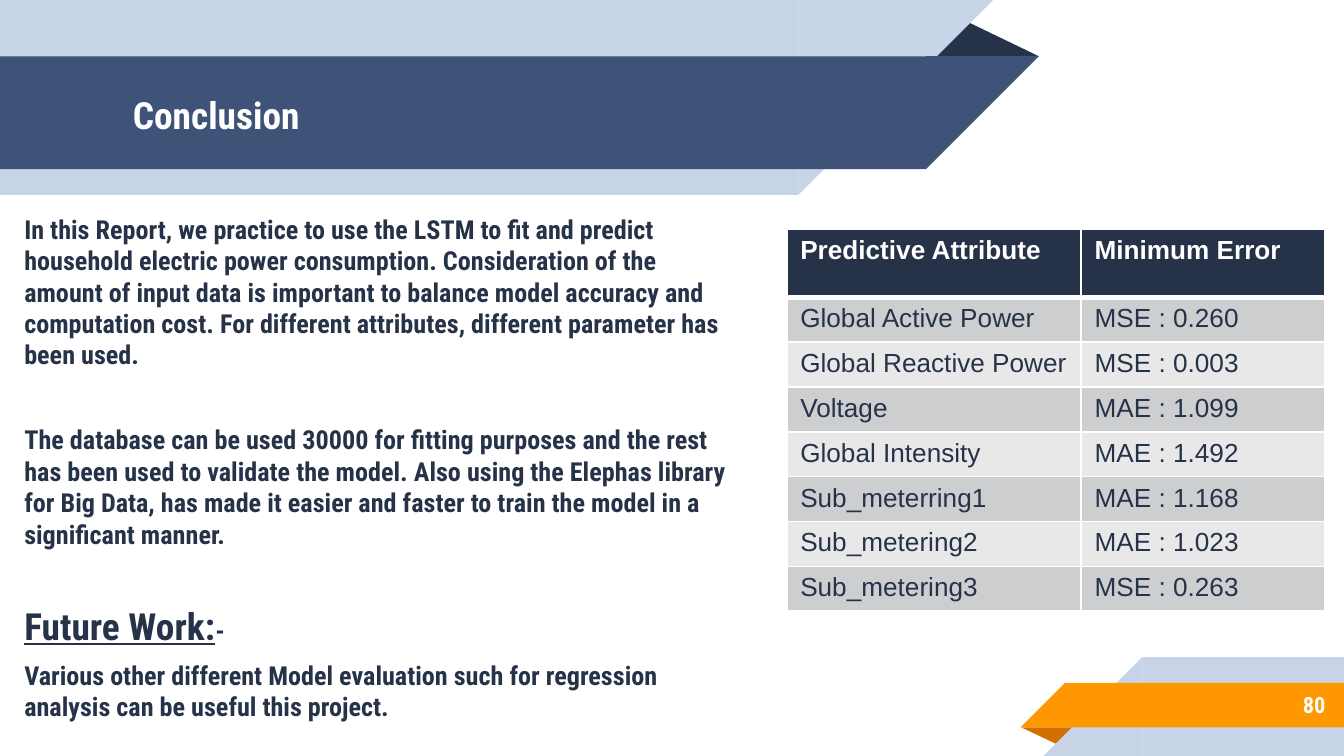
from dataclasses import dataclass

from lxml.etree import SubElement as Sub
from pptx import Presentation
from pptx.dml.color import RGBColor as Rgb
from pptx.enum.shapes import MSO_SHAPE as Kind
from pptx.enum.text import MSO_ANCHOR as Anchor, PP_ALIGN as Align
from pptx.oxml.ns import qn
from pptx.util import Pt

WHITE = Rgb(0xFF, 0xFF, 0xFF)
PALE = Rgb(0xC7, 0xD3, 0xE6)
BLUE = Rgb(0x3F, 0x53, 0x78)
NAVY = Rgb(0x26, 0x32, 0x48)
AMBER = Rgb(0xFF, 0x98, 0x00)
RUST = Rgb(0xD2, 0x6F, 0x00)
GREY = Rgb(0xCD, 0xCE, 0xCF)
LIGHT = Rgb(0xE8, 0xE8, 0xE9)

WIDTH, HEIGHT = 720, 405
FACE = "Roboto Condensed"


@dataclass
class Band:
    """A bar with a slanted end; the slant is as wide as the bar is high."""
    left: float
    top: float
    width: float
    height: float
    color: Rgb
    upper: bool


@dataclass
class Fold:
    left: float
    top: float
    width: float
    height: float
    color: Rgb
    turn: int


@dataclass
class Words:
    text: str
    size: float = 14
    line: bool = False


@dataclass
class Para:
    pieces: list[Words]
    before: float = 0


TOP = [Band(0, 0, 427.7, 104.4, PALE, True),
       Band(0, 30.2, 496.1, 60.5, BLUE, True)]
FOOT = [Band(612, 352.1, 108, 52.9, PALE, False),
        Band(570.6, 365.8, 149.4, 23.9, AMBER, False)]

# A gap between sections is one 14 pt line plus the usual spacing.
GAP, STEP = 28.8, 6
BODY = [
    Para([Words("In this Report, we practice to use the LSTM to fit and predict "
                "household electric power consumption. Consideration of the amount "
                "of input data is important to balance model accuracy and "
                "computation cost. For different attributes, different parameter "
                "has been used.")]),
    Para([Words("The database can be used 30000 for fitting purposes and the rest "
                "has been used to validate the model. Also using the Elephas library "
                "for Big Data, has made it easier and faster to train the model in a "
                "significant manner.")], GAP),
    Para([Words("Future Work:", 20, True), Words("-")], GAP),
    Para([Words("Various other different Model evaluation such for regression "
                "analysis can be useful this project.")], STEP),
]

ROWS = [
    ("Predictive Attribute", "Minimum Error"),
    ("Global Active Power", "MSE : 0.260"),
    ("Global Reactive Power", "MSE : 0.003"),
    ("Voltage", "MAE : 1.099"),
    ("Global Intensity", "MAE : 1.492"),
    ("Sub_meterring1", "MAE : 1.168"),
    ("Sub_metering2", "MAE : 1.023"),
    ("Sub_metering3", "MSE : 0.263"),
]


def style(item, **values) -> None:
    for key, value in values.items():
        setattr(item, key, value)


def add_form(slide, kind: Kind, box: tuple, color: Rgb):
    form = slide.shapes.add_shape(kind, *map(Pt, box))
    form.shadow.inherit = False
    form.fill.solid()
    form.fill.fore_color.rgb = color
    form.line.fill.background()
    return form


def add_band(slide, band: Band) -> None:
    add_form(slide, Kind.RECTANGLE,
             (band.left, band.top, band.width, band.height), band.color)
    side = band.height
    left = band.left + band.width if band.upper else band.left - side
    tip = add_form(slide, Kind.RIGHT_TRIANGLE,
                   (left, band.top, side, side), band.color)
    tip.element.spPr.xfrm.set("flipV" if band.upper else "flipH", "1")


def add_fold(slide, fold: Fold) -> None:
    form = add_form(slide, Kind.ISOSCELES_TRIANGLE,
                    (fold.left, fold.top, fold.width, fold.height), fold.color)
    form.adjustments[0] = 0.32
    form.rotation = fold.turn


def add_text(slide, box: tuple, paras: list[Para], color: Rgb,
             align: Align = Align.LEFT, **frame) -> None:
    text = slide.shapes.add_textbox(*map(Pt, box)).text_frame
    base = dict.fromkeys(("margin_left", "margin_right",
                          "margin_top", "margin_bottom"), Pt(7.2))
    base |= {"word_wrap": True, "vertical_anchor": Anchor.MIDDLE}
    style(text, **(base | frame))
    for num, para in enumerate(paras):
        row = text.add_paragraph() if num else text.paragraphs[0]
        style(row, alignment=align, space_before=Pt(para.before))
        for piece in para.pieces:
            run = row.add_run()
            run.text = piece.text
            style(run.font, name=FACE, size=Pt(piece.size), bold=True,
                  underline=piece.line)
            run.font.color.rgb = color


def add_edges(cell, sizes: dict[str, float]) -> None:
    props = cell._tc.get_or_add_tcPr()
    for side, size in sizes.items():
        line = Sub(props, qn(f"a:ln{side}"), w=str(Pt(size)))
        fill = Sub(line, qn("a:solidFill"))
        Sub(fill, qn("a:srgbClr"), val=str(WHITE))


def add_grid(slide, left: float, top: float) -> None:
    cols, head, high = (157.7, 130.3), 36.5, 22.9
    count = len(ROWS)
    grid = slide.shapes.add_table(
        count, len(cols), Pt(left), Pt(top), Pt(sum(cols)),
        Pt(head + high * (count - 1))).table
    for col, width in zip(grid.columns, cols):
        col.width = Pt(width)
    for num, words in enumerate(ROWS):
        first = num == 0
        grid.rows[num].height = Pt(head if first else high)
        for col, word in enumerate(words):
            cell = grid.cell(num, col)
            add_edges(cell, {"L": 1, "R": 1, "T": 3 if num == 1 else 1,
                             "B": 3 if first else 1})
            cell.fill.solid()
            cell.fill.fore_color.rgb = NAVY if first else GREY if num % 2 else LIGHT
            cell.text = word
            font = cell.text_frame.paragraphs[0].runs[0].font
            style(font, name="Arial", size=Pt(14), bold=first)
            font.color.rgb = WHITE if first else NAVY


def main() -> None:
    deck = Presentation()
    style(deck, slide_width=Pt(WIDTH), slide_height=Pt(HEIGHT))
    slide = deck.slides.add_slide(deck.slide_layouts[6])
    add_fold(slide, Fold(547.2, 389.7, 31, 10, RUST, 180))
    for band in FOOT:
        add_band(slide, band)
    add_fold(slide, Fold(495.4, 10.1, 61.2, 20.1, NAVY, 0))
    # The fold sits behind the blue bar, and the pale bar covers its left end.
    for band in TOP:
        add_band(slide, band)
    add_text(slide, (64.1, 31, 432.7, 60.5), [Para([Words("Conclusion", 20)])], WHITE)
    add_text(slide, (0, 110.2, 402.5, 294.5), BODY, NAVY, margin_left=Pt(13),
             margin_top=Pt(4), vertical_anchor=Anchor.TOP)
    add_text(slide, (599.8, 365, 117.4, 25.2), [Para([Words("80", 12)])],
             WHITE, Align.RIGHT)
    add_grid(slide, 421.5, 122.7)
    deck.save("out.pptx")


if __name__ == "__main__":
    main()
